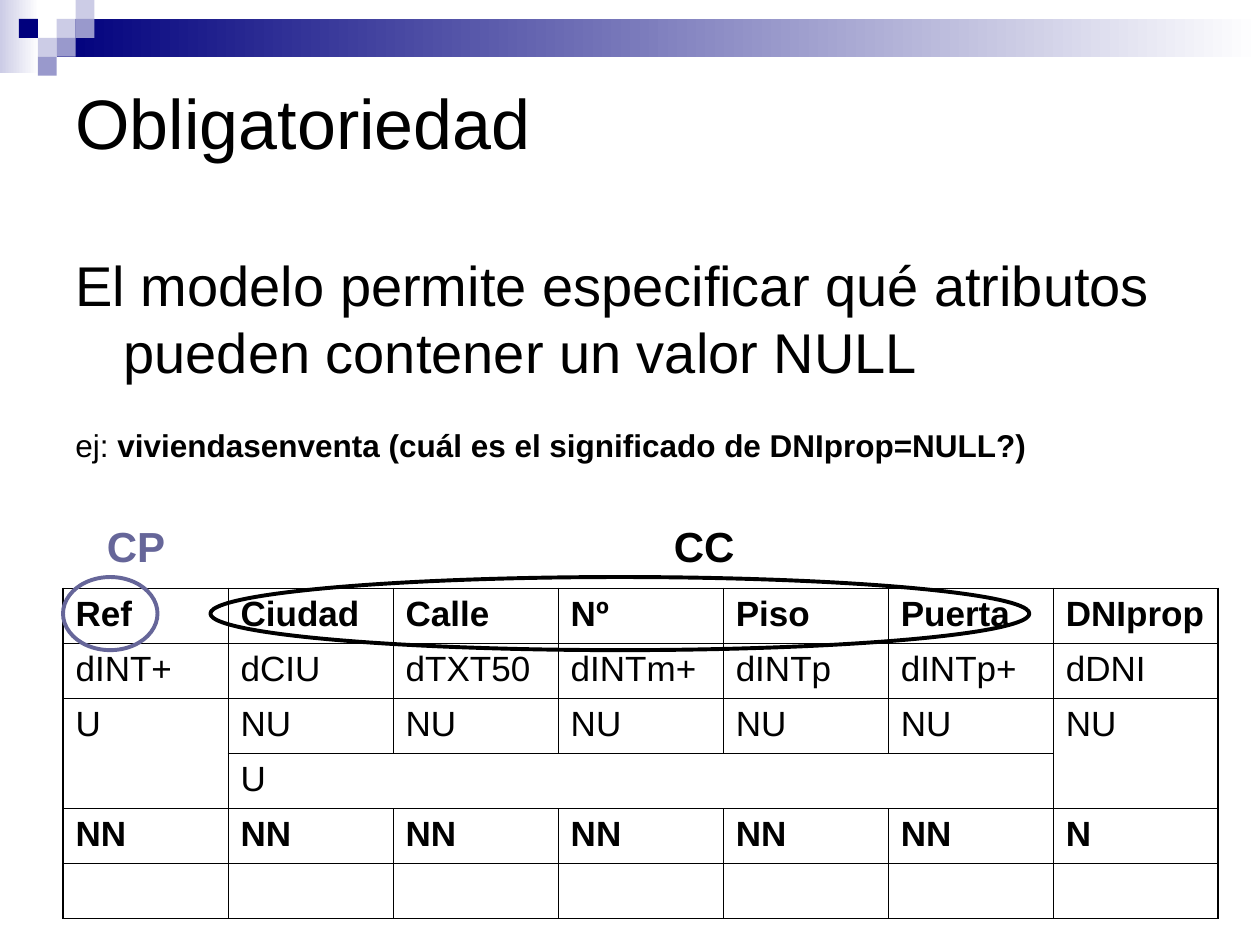
from lxml import etree
from pptx import Presentation
from pptx import util as u
from pptx.dml.color import RGBColor
from pptx.enum import shapes, text
from pptx.oxml.ns import qn

COLORS = {
    "ink": "000000",
    "white": "FFFFFF",
    "navy": "00007D",
    "lilac": "CCCCE6",
    "violet": "9999CC",
    "key": "666699",
}
FONT = "Arial"
PIXEL = 0.15
MOSAIC = [
    (3, 1, "lilac"), (4, 0, "lilac"), (4, 1, "violet"), (2, 2, "lilac"),
    (1, 1, "navy"), (3, 2, "violet"), (2, 3, "violet"),
]
ATTRIBUTES = [
    ["Ref", "Ciudad", "Calle", "Nº", "Piso", "Puerta", "DNIprop"],
    ["dINT+", "dCIU", "dTXT50", "dINTm+", "dINTp", "dINTp+", "dDNI"],
    ["U"] + ["NU"] * 6,
    ["", "U", "", "", "", "", ""],
    ["NN"] * 6 + ["N"],
    [""] * 7,
]
BOLD_ROWS = (0, 4)
MERGES = [((2, 0), (3, 0)), ((2, 6), (3, 6)), ((3, 1), (3, 5))]
THIN, THICK = 0.45, 1.08


def rgb(name):
    return RGBColor.from_string(COLORS[name])


def inches(box):
    return [u.Inches(length) for length in box]


def write(paragraph, words, size, color="ink", bold=False):
    paragraph.alignment = text.PP_ALIGN.LEFT
    run = paragraph.add_run()
    run.text = words
    run.font.name = FONT
    run.font.size = u.Pt(size)
    run.font.bold = bold
    run.font.color.rgb = rgb(color)


def place(shape, box):
    shape.left, shape.top, shape.width, shape.height = inches(box)


def add_block(slide, box, *fill_colors):
    block = slide.shapes.add_shape(shapes.MSO_SHAPE.RECTANGLE, *inches(box))
    block.shadow.inherit = False
    block.line.fill.background()
    if len(fill_colors) == 1:
        block.fill.solid()
        block.fill.fore_color.rgb = rgb(fill_colors[0])
    else:
        block.fill.gradient()
        block.fill.gradient_angle = 0
        for stop, color in zip(block.fill.gradient_stops, fill_colors):
            stop.color.rgb = rgb(color)


def add_banner(slide, box):
    left, top, width, height = box
    add_block(slide, (left, top, 0.31, 0.58), "lilac", "white")
    bar_left = left + 3 * PIXEL
    add_block(slide, (bar_left, top + PIXEL, width - 3 * PIXEL, 2 * PIXEL),
              "navy", "white")
    for column, row, color in MOSAIC:
        add_block(slide, (left + column * PIXEL, top + row * PIXEL, PIXEL, PIXEL), color)


def add_title(slide, box):
    title = slide.shapes.title
    place(title, box)
    frame = title.text_frame
    frame.auto_size = text.MSO_AUTO_SIZE.NONE
    frame.vertical_anchor = text.MSO_ANCHOR.TOP
    frame.margin_top = u.Inches(0.13)
    write(frame.paragraphs[0], "Obligatoriedad", size=40)


def add_statement(slide, box):
    statement = slide.placeholders[1]
    place(statement, box)
    frame = statement.text_frame
    frame.auto_size = text.MSO_AUTO_SIZE.NONE
    paragraph = frame.paragraphs[0]
    properties = paragraph._p.get_or_add_pPr()
    properties.set("marL", str(u.Inches(0.38)))
    properties.set("indent", str(u.Inches(-0.38)))
    etree.SubElement(properties, qn("a:buNone"))
    paragraph.space_before = u.Pt(0)
    write(paragraph,
          "El modelo permite especificar qué atributos pueden contener un valor NULL",
          size=32)


def add_example(slide, box):
    frame = slide.shapes.add_textbox(*inches(box)).text_frame
    frame.word_wrap = True
    paragraph = frame.paragraphs[0]
    write(paragraph, "ej: ", size=18)
    write(paragraph, "viviendasenventa (cuál es el significado de DNIprop=NULL?)",
          size=18, bold=True)


def set_borders(cell, widths):
    properties = cell._tc.get_or_add_tcPr()
    for side, width in widths.items():
        line = etree.SubElement(properties, qn("a:ln" + side), w=str(u.Pt(width)))
        fill = etree.SubElement(line, qn("a:solidFill"))
        etree.SubElement(fill, qn("a:srgbClr"), val=COLORS["ink"])


def add_attribute_table(slide, box):
    row_count, column_count = len(ATTRIBUTES), len(ATTRIBUTES[0])
    table = slide.shapes.add_table(row_count, column_count, *inches(box)).table
    table.first_row = table.horz_banding = False
    for r, row in enumerate(ATTRIBUTES):
        for c, words in enumerate(row):
            cell = table.cell(r, c)
            set_borders(cell, {
                "L": THICK if c == 0 else THIN,
                "R": THICK if c == column_count - 1 else THIN,
                "T": THICK if r == 0 else THIN,
                "B": THICK if r == row_count - 1 else THIN,
            })
            cell.fill.background()
            if words:
                write(cell.text_frame.paragraphs[0], words, size=20, bold=r in BOLD_ROWS)
    for first, last in MERGES:
        table.cell(*first).merge(table.cell(*last))


def add_key_mark(slide, box, label, label_box, color):
    ring = slide.shapes.add_shape(shapes.MSO_SHAPE.OVAL, *inches(box))
    ring.shadow.inherit = False
    ring.fill.background()
    ring.line.color.rgb = rgb(color)
    ring.line.width = u.Pt(2.25)
    frame = slide.shapes.add_textbox(*inches(label_box)).text_frame
    frame.word_wrap = False
    write(frame.paragraphs[0], label, size=24, color=color, bold=True)


def main():
    deck = Presentation()
    deck.slide_width, deck.slide_height = u.Inches(10), u.Inches(7.5)
    slide = deck.slides.add_slide(deck.slide_layouts[1])
    add_banner(slide, (0, 0, 10, 0.6))
    add_title(slide, (0.5, 0.5, 9, 1.5))
    add_statement(slide, (0.5, 1.94, 9, 4.48))
    add_example(slide, (0.5, 3.33, 9, 0.4))
    add_attribute_table(slide, (0.5, 4.67, 9.17, 2.62))
    add_key_mark(slide, (1.67, 4.58, 6.5, 0.58), "CC", (5.25, 4.08, 0.68, 0.5), "ink")
    add_key_mark(slide, (0.5, 4.58, 0.75, 0.58), "CP", (0.75, 4.08, 0.66, 0.5), "key")
    deck.save("out.pptx")


if __name__ == "__main__":
    main()
